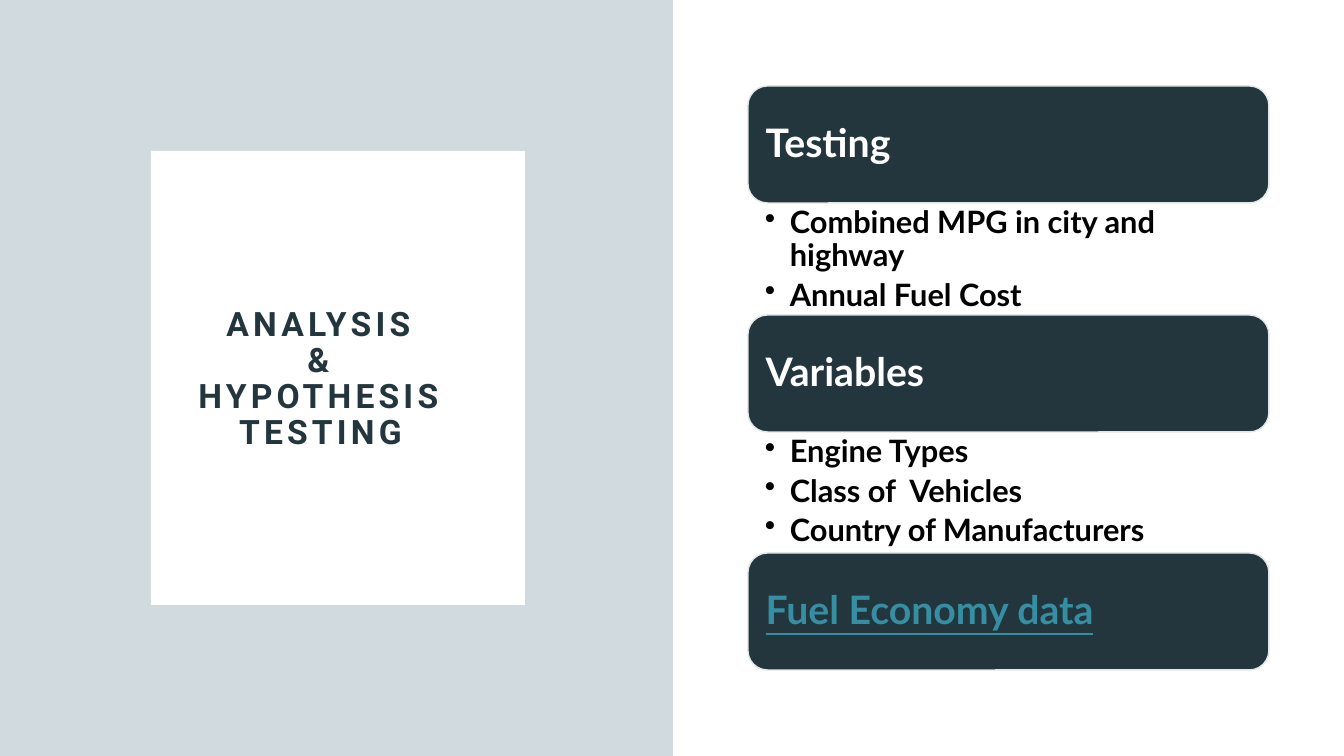
import copy

import pptx
import pptx.util
import pptx.dml.color
import pptx.enum.shapes
import pptx.enum.text
import pptx.oxml
import pptx.oxml.ns

EMU_PER_PX = 914400 / 100.8
COLORS = {
    "panel": "486F80",
    "white": "FFFFFF",
    "dark": "23363E",
    "border": "E2E7E8",
    "body": "000000",
    "link": "368EA3",
}
SHAPES = pptx.enum.shapes.MSO_SHAPE
ANCHOR = pptx.enum.text.MSO_ANCHOR
ALIGN = pptx.enum.text.PP_ALIGN

LIST_LEFT, LIST_WIDTH, HEADER_HEIGHT = 748, 521, 117
# Header top, header text, text color, bullets
SECTIONS = [
    (86, "Testing", "white",
     ["Combined MPG in city and highway", "Annual Fuel Cost"]),
    (315, "Variables", "white",
     ["Engine Types", "Class of  Vehicles", "Country of Manufacturers"]),
    (553, "Fuel Economy data", "link", []),
]


def px(n):
    return pptx.util.Emu(round(n * EMU_PER_PX))


def rgb(name):
    return pptx.dml.color.RGBColor.from_string(COLORS[name])


def add_box(s, kind, box, color, alpha=None, border=None):
    sp = s.shapes.add_shape(kind, *map(px, box))
    sp.shadow.inherit = False
    sp.fill.solid()
    sp.fill.fore_color.rgb = rgb(color)
    if alpha is not None:
        clr = sp._element.spPr.find(".//" + pptx.oxml.ns.qn("a:srgbClr"))
        clr.append(pptx.oxml.parse_xml(
            f'<a:alpha {pptx.oxml.ns.nsdecls("a")} val="{alpha * 1000}"/>'))
    if border:
        sp.line.color.rgb = rgb(border)
        sp.line.width = pptx.util.Pt(1)
    else:
        sp.line.fill.background()
    return sp


def set_frame(tf, anchor, left, top, right, bottom):
    tf.word_wrap = True
    tf.auto_size = pptx.enum.text.MSO_AUTO_SIZE.NONE
    tf.vertical_anchor = anchor
    tf.margin_left, tf.margin_top = px(left), px(top)
    tf.margin_right, tf.margin_bottom = px(right), px(bottom)


def format_paragraph(p, font, size, color, align=ALIGN.LEFT):
    p.alignment = align
    p.line_spacing = 0.9
    for r in p.runs:
        r.font.name = font
        r.font.size = pptx.util.Pt(size)
        r.font.bold = True
        r.font.color.rgb = rgb(color)


def add_bullet(p):
    pPr = p._p.get_or_add_pPr()
    pPr.set("marL", str(px(25)))
    pPr.set("indent", str(px(-25)))
    pPr.append(pptx.oxml.parse_xml(
        f'<a:buChar {pptx.oxml.ns.nsdecls("a")} char="•"/>'))


def place_title(s, text, box):
    title = s.shapes.title
    title.left, title.top, title.width, title.height = map(px, box)
    s.shapes._spTree.append(title._element)  # in front of the panels
    tf = title.text_frame
    set_frame(tf, ANCHOR.MIDDLE, 10, 5, 10, 5)
    p = tf.paragraphs[0]
    p.text = text
    format_paragraph(p, "Roboto", 24, "dark", ALIGN.CENTER)
    for r in p.runs:
        r._r.get_or_add_rPr().set("spc", "300")
    # Line breaks take the size of the text around them
    for br in p._p.findall(pptx.oxml.ns.qn("a:br")):
        br.append(copy.deepcopy(p.runs[0]._r.rPr))


def add_header(s, top, text, color):
    sp = add_box(s, SHAPES.ROUNDED_RECTANGLE,
                 (LIST_LEFT, top, LIST_WIDTH, HEADER_HEIGHT),
                 "dark", border="border")
    set_frame(sp.text_frame, ANCHOR.MIDDLE, 12, 12, 12, 12)
    p = sp.text_frame.paragraphs[0]
    p.text = text
    format_paragraph(p, "Lato", 28, color)
    p.runs[0].font.underline = color == "link"


def add_bullets(s, top, height, items):
    tf = s.shapes.add_textbox(
        *map(px, (LIST_LEFT, top, LIST_WIDTH, height))).text_frame
    set_frame(tf, ANCHOR.TOP, 17, 4, 22, 4)
    for i, item in enumerate(items):
        p = tf.add_paragraph() if i else tf.paragraphs[0]
        p.text = item
        format_paragraph(p, "Lato", 22, "body")
        p.space_after = pptx.util.Pt(4.4)
        add_bullet(p)


def main():
    prs = pptx.Presentation()
    prs.slide_width, prs.slide_height = px(1344), px(756)
    s = prs.slides.add_slide(prs.slide_layouts.get_by_name("Title Only"))

    # Left half: tinted panel, white card, title
    add_box(s, SHAPES.RECTANGLE, (0, 0, 673, 756), "panel", alpha=25)
    add_box(s, SHAPES.RECTANGLE, (151, 151, 374, 454), "white")
    place_title(s, "ANALYSIS\v&\vHYPOTHESIS\vTESTING", (170, 211, 301, 337))

    # Right half: headers, each with bullets down to the next header
    for i, (top, text, color, items) in enumerate(SECTIONS):
        add_header(s, top, text, color)
        if items:
            bottom = top + HEADER_HEIGHT
            add_bullets(s, bottom, SECTIONS[i + 1][0] - bottom, items)

    prs.save("out.pptx")


main()
